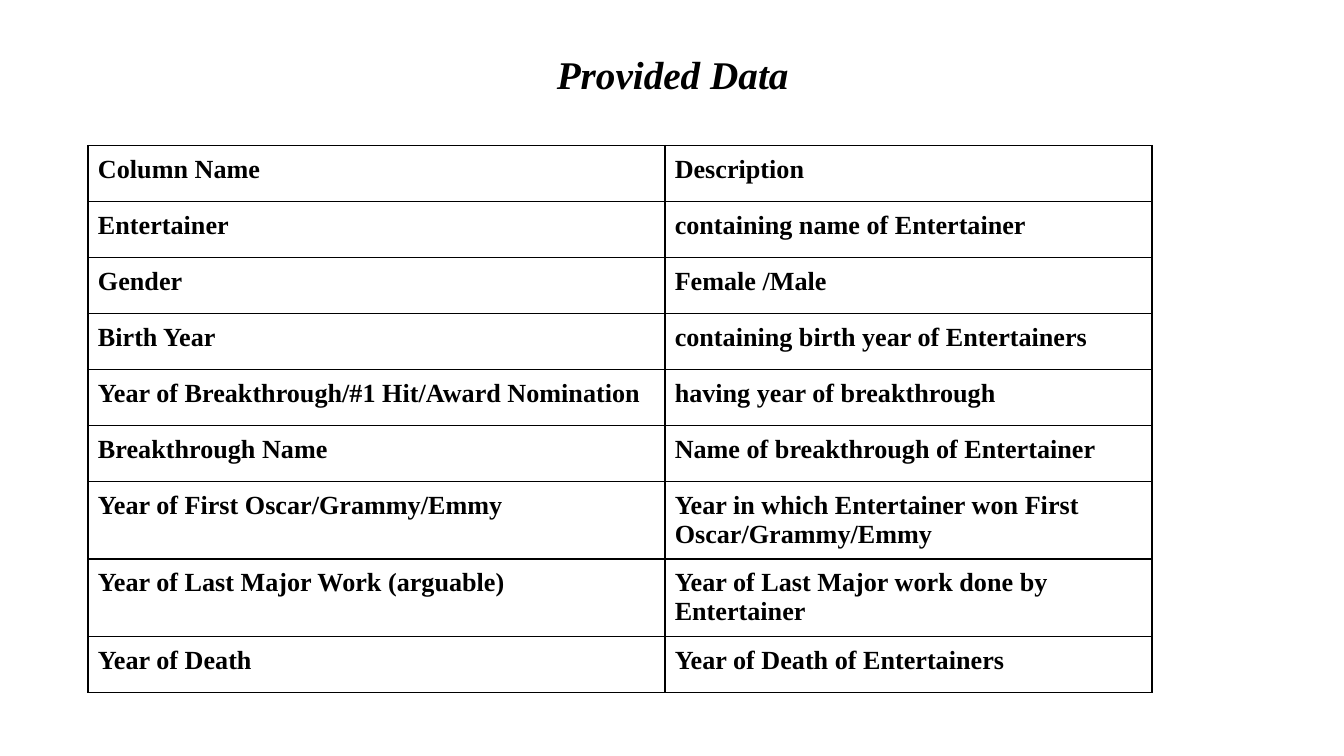
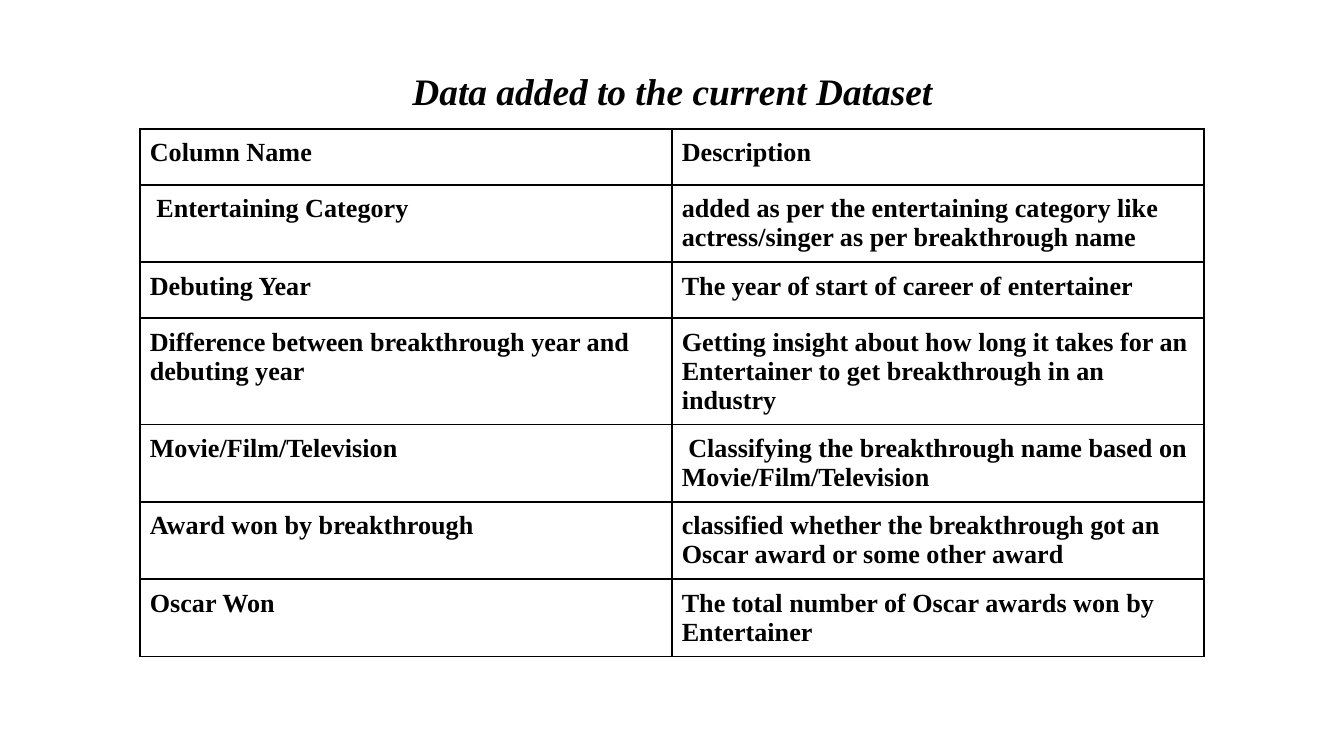
from lxml.etree import SubElement
from pptx import Presentation
from pptx.dml.color import RGBColor
from pptx.enum.text import MSO_ANCHOR, MSO_AUTO_SIZE, PP_ALIGN
from pptx.oxml.ns import qn
from pptx.util import Emu, Pt

EMU_PER_PX = 9525
FONT = "Times New Roman"
BLACK = RGBColor(0, 0, 0)
WHITE = RGBColor(255, 255, 255)
TITLE_LEFT, TITLE_WIDTH, TITLE_HEIGHT, TITLE_INSET = 33, 895, 60, 10
ROW_HEIGHT, CELL_INSET = 40, 7
CELL_SIZE, BORDER_WIDTH = 14, 1

PROVIDED_COLUMNS = [
    ("Column Name", "Description"),
    ("Entertainer", "containing name of Entertainer"),
    ("Gender", "Female /Male"),
    ("Birth Year", "containing birth year of Entertainers"),
    ("Year of Breakthrough/#1 Hit/Award Nomination", "having year of breakthrough"),
    ("Breakthrough Name", "Name of breakthrough of Entertainer"),
    ("Year of First Oscar/Grammy/Emmy",
     "Year in which Entertainer won First Oscar/Grammy/Emmy"),
    ("Year of Last Major Work (arguable)", "Year of Last Major work done by Entertainer"),
    ("Year of Death", "Year of Death of Entertainers"),
]
ADDED_COLUMNS = [
    ("Column Name", "Description"),
    (" Entertaining Category",
     "added as per the entertaining category like actress/singer as per breakthrough name"),
    ("Debuting Year", "The year of start of career of entertainer"),
    ("Difference between breakthrough year and debuting year",
     "Getting insight about how long it takes for an Entertainer "
     "to get breakthrough in an industry"),
    ("Movie/Film/Television",
     " Classifying the breakthrough name based on Movie/Film/Television"),
    ("Award won by breakthrough",
     "classified whether the breakthrough got an Oscar award or some other award"),
    ("Oscar Won", "The total number of Oscar awards won by Entertainer"),
]


def px(length):
    return Emu(length * EMU_PER_PX)


def set_insets(holder, inset):
    """Give a text frame or a table cell the same margin on all sides."""
    holder.margin_left = holder.margin_right = px(inset)
    holder.margin_top = holder.margin_bottom = px(inset)


def add_run(paragraph, text, size, italic=False):
    run = paragraph.add_run()
    run.text = text
    run.font.name = FONT
    run.font.size = Pt(size)
    run.font.bold = True
    run.font.italic = italic
    run.font.color.rgb = BLACK


def add_titled_slide(presentation, title, top, size):
    slide = presentation.slides.add_slide(presentation.slide_layouts[5])
    slide.background.fill.solid()
    slide.background.fill.fore_color.rgb = WHITE
    shape = slide.shapes.title
    shape.left, shape.top = px(TITLE_LEFT), px(top)
    shape.width, shape.height = px(TITLE_WIDTH), px(TITLE_HEIGHT)
    frame = shape.text_frame
    frame.word_wrap = True
    frame.auto_size = MSO_AUTO_SIZE.NONE
    frame.vertical_anchor = MSO_ANCHOR.MIDDLE
    set_insets(frame, TITLE_INSET)
    paragraph = frame.paragraphs[0]
    paragraph.alignment = PP_ALIGN.CENTER
    paragraph.line_spacing = 1.15
    add_run(paragraph, title, size, italic=True)
    return slide


def add_borders(cell):
    properties = cell._tc.get_or_add_tcPr()
    for side in ("a:lnL", "a:lnR", "a:lnT", "a:lnB"):
        line = SubElement(properties, qn(side), w=str(Pt(BORDER_WIDTH)))
        fill = SubElement(line, qn("a:solidFill"))
        SubElement(fill, qn("a:srgbClr"), val=str(BLACK))


def add_column_table(slide, left, top, column_widths, rows):
    """Add a bordered table whose rows grow with their text."""
    table = slide.shapes.add_table(
        len(rows), len(column_widths), px(left), px(top),
        px(sum(column_widths)), px(ROW_HEIGHT * len(rows))).table
    table.first_row = table.horz_banding = False
    for column, width in zip(table.columns, column_widths):
        column.width = px(width)
    for table_row, texts in zip(table.rows, rows):
        table_row.height = px(ROW_HEIGHT)
        for cell, text in zip(table_row.cells, texts):
            set_insets(cell, CELL_INSET)
            add_borders(cell)
            cell.fill.background()
            add_run(cell.text_frame.paragraphs[0], text, CELL_SIZE)


def main():
    presentation = Presentation()
    presentation.slide_width, presentation.slide_height = px(960), px(540)

    slide = add_titled_slide(presentation, "Provided Data", 20, 21)
    add_column_table(slide, 63, 104, (412, 348), PROVIDED_COLUMNS)

    slide = add_titled_slide(presentation, "Data added to the current Dataset", 32, 20)
    add_column_table(slide, 100, 92, (380, 380), ADDED_COLUMNS)

    presentation.save("out.pptx")


if __name__ == "__main__":
    main()
